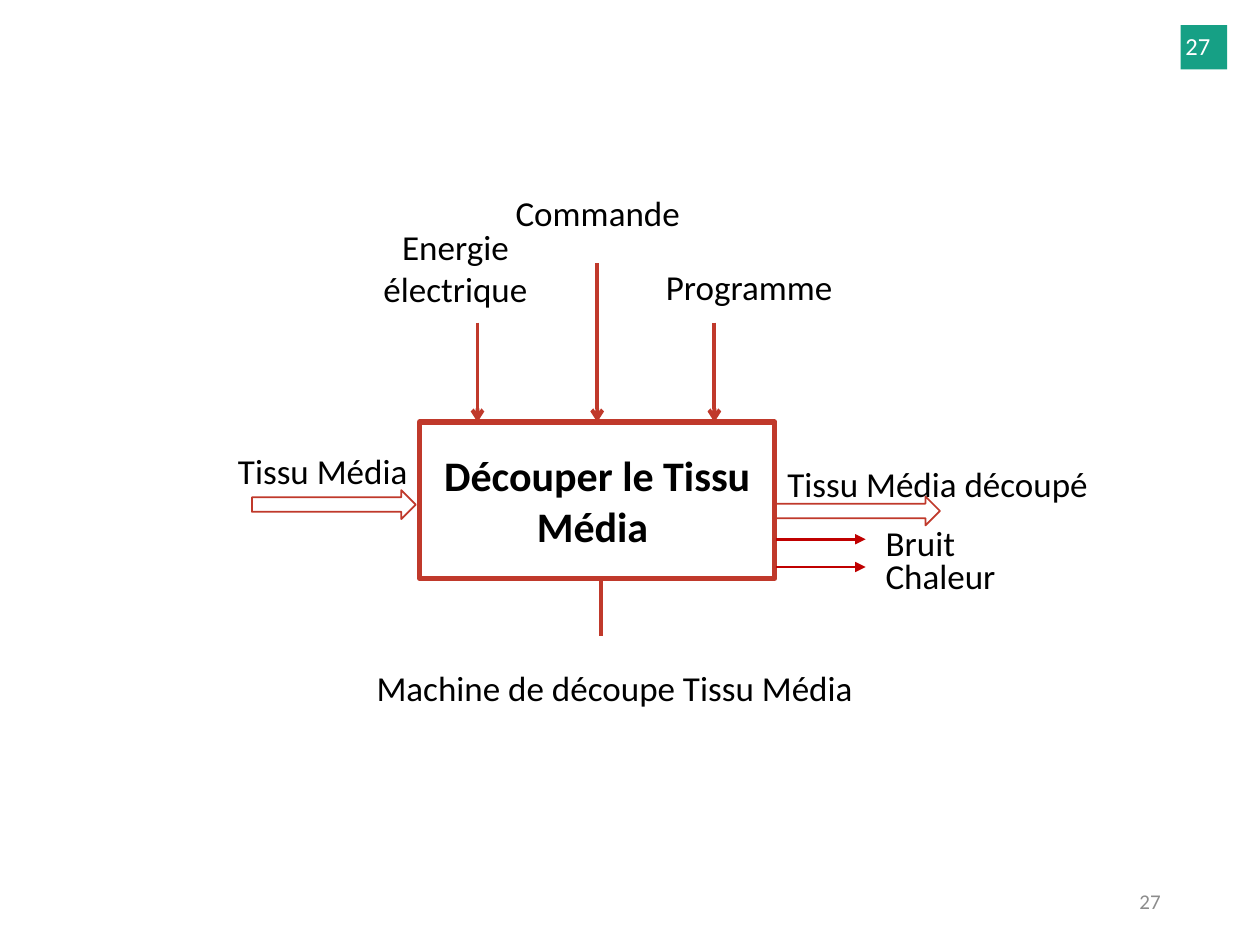
"""Build the functional diagram of the fabric cutting machine."""
from lxml.etree import SubElement
from pptx import Presentation
from pptx.dml.color import RGBColor
from pptx.enum.shapes import MSO_CONNECTOR as Connector, MSO_SHAPE as Shape
from pptx.enum.text import MSO_ANCHOR as Anchor, PP_ALIGN as Align
from pptx.oxml.ns import qn
from pptx.util import Inches, Pt

RED = RGBColor(0xC0, 0x39, 0x2B)
DARK_RED = RGBColor(0xC0, 0x00, 0x00)
TEAL = RGBColor(0x16, 0xA0, 0x85)
BLACK = RGBColor(0x00, 0x00, 0x00)
WHITE = RGBColor(0xFF, 0xFF, 0xFF)
GRAY = RGBColor(0x8C, 0x8C, 0x8C)


class Diagram:
    font = "Calibri"

    def __init__(self, page):
        self.shapes = page.shapes

    def set_text(self, box, text, size=20, color=BLACK, align=Align.LEFT,
                 anchor=Anchor.TOP, bold=False, spacing=None):
        frame = box.text_frame
        frame.word_wrap = True
        frame.vertical_anchor = anchor
        frame.text = text
        para = frame.paragraphs[0]
        para.alignment = align
        para.line_spacing = spacing
        span = para.runs[0]
        span.font.name = self.font
        span.font.size = Pt(size)
        span.font.bold = bold
        span.font.color.rgb = color

    def label(self, text, left, top, width, height=0.44, **style):
        box = self.shapes.add_textbox(*map(Inches, (left, top, width, height)))
        self.set_text(box, text, **style)

    def shape(self, kind, left, top, width, height, line=None, weight=1, fill=None):
        box = self.shapes.add_shape(kind, *map(Inches, (left, top, width, height)))
        box.shadow.inherit = False
        if fill is None:
            box.fill.background()
        else:
            box.fill.solid()
            box.fill.fore_color.rgb = fill
        if line is None:
            box.line.fill.background()
        else:
            box.line.color.rgb = line
            box.line.width = Pt(weight)
        return box

    def line(self, x1, y1, x2, y2, color=RED, weight=2.25, head=None):
        link = self.shapes.add_connector(
            Connector.STRAIGHT, *map(Inches, (x1, y1, x2, y2)))
        link.line.color.rgb = color
        link.line.width = Pt(weight)
        properties = link.element.spPr
        if head:
            SubElement(properties.get_or_add_ln(), qn("a:tailEnd"), type=head)
        SubElement(properties, qn("a:effectLst"))


def main():
    deck = Presentation()
    deck.slide_width, deck.slide_height = Inches(10), Inches(7.5)
    diagram = Diagram(deck.slides.add_slide(deck.slide_layouts[6]))

    function = diagram.shape(Shape.RECTANGLE, 3.33, 3.35, 2.82, 1.24, line=RED, weight=3)
    diagram.set_text(function, "Découper le Tissu Média ", size=24, bold=True,
                     align=Align.CENTER, anchor=Anchor.MIDDLE)

    for left, top in ((2, 3.89), (6.16, 3.94)):
        diagram.shape(Shape.RIGHT_ARROW, left, top, 1.3, 0.23, line=RED)
    diagram.label("Tissu Média", 1.79, 3.52, 1.79)
    diagram.label("Tissu Média découpé", 6.15, 3.29, 2.77, 0.77, spacing=2.0)

    for x, top in ((3.79, 2.56), (4.74, 2.09), (5.67, 2.56)):
        diagram.line(x, top, x, 3.35, head="arrow")
    for y in (4.28, 4.5):
        diagram.line(6.16, y, 6.87, y, DARK_RED, 1.5, "triangle")
    for text, left, top, height in (
        ("Energie électrique", 2.66, 1.74, 0.77),
        ("Commande ", 3.82, 1.47, 0.44),
        ("Programme", 4.99, 2.06, 0.44),
        ("Bruit", 6.35, 4.09, 0.44),
        ("Chaleur", 6.51, 4.35, 0.44),
    ):
        diagram.label(text, left, top, 1.91, height, align=Align.CENTER)

    diagram.line(4.77, 4.59, 4.77, 5.05)
    diagram.label("Machine de découpe Tissu Média", 2.89, 5.24, 4.2)

    diagram.label("27", 7.06, 6.95, 2.25, 0.4, size=12, color=GRAY,
                  align=Align.RIGHT, anchor=Anchor.MIDDLE)
    diagram.shape(Shape.RECTANGLE, 9.37, 0.2, 0.37, 0.35, fill=TEAL)
    diagram.label("27", 9.31, 0.2, 1.12, 0.34, size=14, color=WHITE)

    deck.save("out.pptx")


if __name__ == "__main__":
    main()
